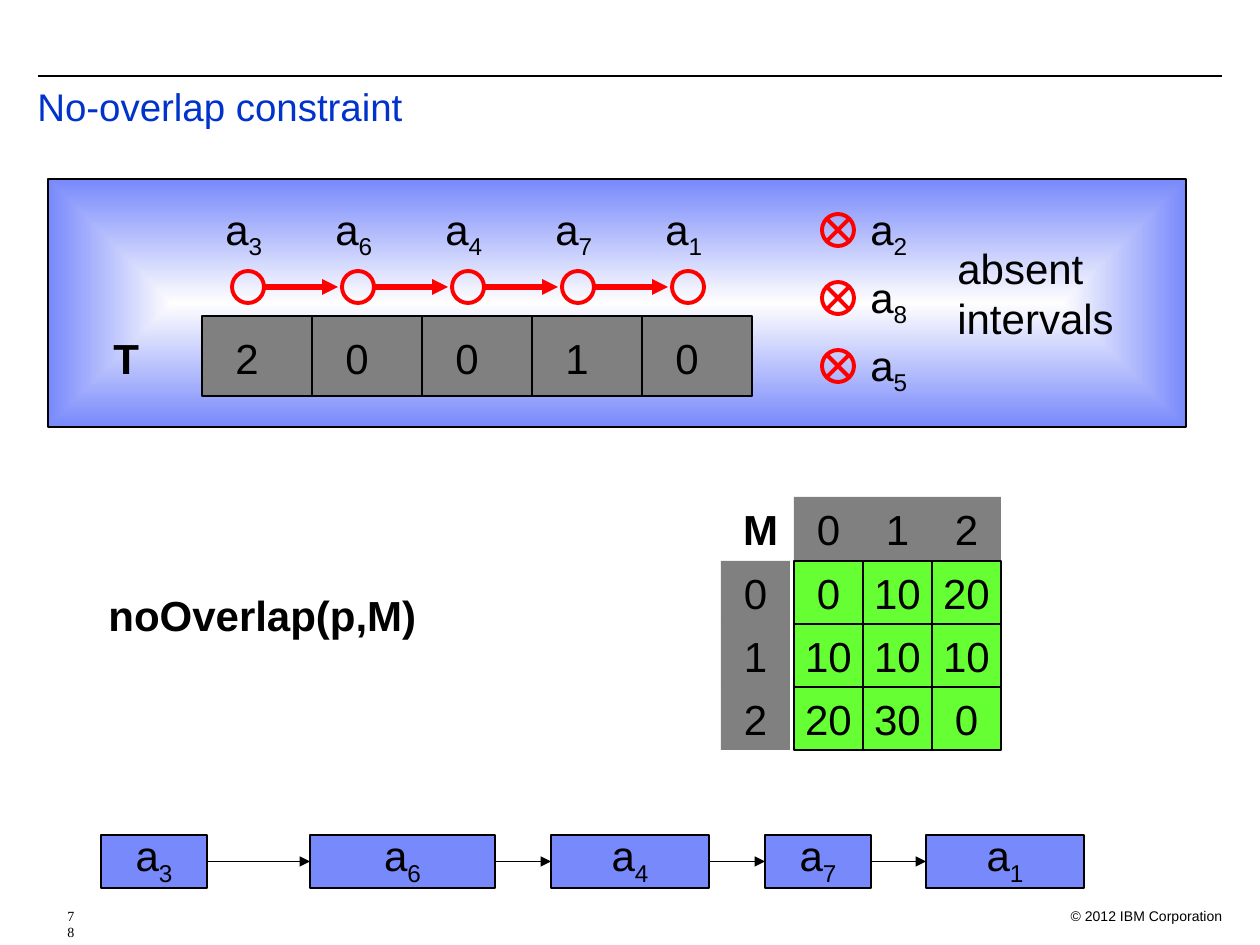
from dataclasses import dataclass

from lxml import etree
from pptx import Presentation
from pptx import util as u
from pptx.dml.color import RGBColor
from pptx.enum import shapes, text
from pptx.oxml.ns import qn

SCALE = u.Inches(1) / 126
RECT, OVAL = shapes.MSO_SHAPE.RECTANGLE, shapes.MSO_SHAPE.OVAL
CENTER, RIGHT = text.PP_ALIGN.CENTER, text.PP_ALIGN.RIGHT
MIDDLE = text.MSO_ANCHOR.MIDDLE


@dataclass(frozen=True)
class Theme:
    """Colours, fonts and type sizes of the slide."""
    ink: str = "000000"
    title: str = "0033CC"
    interval: str = "7889FB"
    glow: str = "FEFEFE"
    mark: str = "FF0000"
    header: str = "808080"
    cell: str = "66FF33"
    sans: str = "Arial"
    serif: str = "Times New Roman"
    title_size: int = 22
    body_size: int = 24
    foot_size: int = 8


THEME = Theme()


def px(*lengths):
    """Turn pixel lengths into EMU."""
    return [round(length * SCALE) for length in lengths]


def write(shape, words, size=THEME.body_size, font=THEME.sans, color=THEME.ink, bold=False,
          align=None, anchor=None, spacing=None, wrap=False, grow=False, margin=0):
    """Fill a shape with text; each line is a paragraph and _ starts a subscript."""
    frame = shape.text_frame
    frame.word_wrap = wrap
    if grow:
        frame.auto_size = text.MSO_AUTO_SIZE.SHAPE_TO_FIT_TEXT
    if anchor is not None:
        frame.vertical_anchor = anchor
    for index, line in enumerate(words.split("\n")):
        para = frame.add_paragraph() if index else frame.paragraphs[0]
        para.alignment = align
        para.line_spacing = spacing
        if margin:
            para._p.get_or_add_pPr().set("marL", str(px(margin)[0]))
        base, _, subscript = line.partition("_")
        for part, offset in ((base, None), (subscript, "-25000")):
            if not part:
                continue
            span = para.add_run()
            span.text = part
            span.font.size = u.Pt(size)
            span.font.name = font
            span.font.bold = bold
            span.font.color.rgb = RGBColor.from_string(color)
            if offset:
                span._r.get_or_add_rPr().set("baseline", offset)


def add_label(parent, at, words, **style):
    """Add a text box."""
    write(parent.shapes.add_textbox(*px(*at)), words, **style)


def add_box(parent, at, kind=RECT, fill=None, line=None, weight=0.75):
    """Add a preset shape with an optional fill and outline."""
    box = parent.shapes.add_shape(kind, *px(*at))
    box.shadow.inherit = False
    if fill:
        box.fill.solid()
        box.fill.fore_color.rgb = RGBColor.from_string(fill)
    else:
        box.fill.background()
    if line:
        box.line.color.rgb = RGBColor.from_string(line)
        box.line.width = u.Pt(weight)
    else:
        box.line.fill.background()
    return box


def add_line(parent, ends, color=THEME.ink, weight=0.75, arrow=False):
    """Add a straight connector, with an arrowhead at its end on request."""
    line = parent.shapes.add_connector(shapes.MSO_CONNECTOR.STRAIGHT, *px(*ends))
    line.line.color.rgb = RGBColor.from_string(color)
    line.line.width = u.Pt(weight)
    if arrow:
        etree.SubElement(line.line._get_or_add_ln(), qn("a:tailEnd"), type="triangle")
    etree.SubElement(line._element.spPr, qn("a:effectLst"))
    return line


def add_panel(page, at):
    """Add the panel whose gradient spreads from its centre."""
    panel = add_box(page, at, line=THEME.ink)
    panel.fill.gradient()
    for stop, color in zip(panel.fill.gradient_stops, (THEME.glow, THEME.interval)):
        stop.color.rgb = RGBColor.from_string(color)
    gradient = panel._element.spPr.find(qn("a:gradFill"))
    gradient.remove(gradient.find(qn("a:lin")))
    spread = etree.SubElement(gradient, qn("a:path"), path="rect")
    etree.SubElement(spread, qn("a:fillToRect"), dict.fromkeys("ltrb", "50000"))


def add_absent(page, top, name):
    """Add a crossed circle and the name of an absent interval."""
    mark = page.shapes.add_group_shape()
    left, size, inset = 822, 32, 5
    near, far = left + inset, left + size - inset
    high, low = top + inset, top + size - inset
    add_box(mark, (left, top, size, size), OVAL, line=THEME.mark, weight=2.25)
    add_line(mark, (near, high, far, low), THEME.mark, 2.25)
    add_line(mark, (near, low, far, high), THEME.mark, 2.25)
    add_label(page, (858, top - 17, 62, 71), name, grow=True)


def add_sequence(page, names, types):
    """Add the ordered intervals above the row of their types."""
    step = 110
    add_box(page, (202, 316, step * len(types), 80), fill=THEME.header, line=THEME.ink)
    add_label(page, (101, 326, 50, 63), "T", bold=True, grow=True)
    for index, (name, kind) in enumerate(zip(names, types)):
        shift = index * step
        add_box(page, (232 + shift, 271, 32, 32), OVAL, line=THEME.mark, weight=2.25)
        add_label(page, (213 + shift, 197, 62, 71), name, grow=True)
        add_label(page, (223 + shift, 326, 48, 63), kind, grow=True)
        add_line(page, (202 + shift, 317, 202 + shift, 396))
        if index:
            add_line(page, (155 + shift, 287, 228 + shift, 287), THEME.mark, 3, arrow=True)


def add_matrix(page, rows):
    """Add the transition matrix with its row and column headers."""
    left, top, width, height = 794, 561, 69, 63
    style = dict(align=CENTER, anchor=MIDDLE)
    for index, values in enumerate(rows):
        across, down = left + index * width, top + index * height
        headers = ((across, top - height - 1), (left - 73, down))
        for corner in headers:
            write(add_box(page, (*corner, width, height), fill=THEME.header), str(index), **style)
        for column, value in enumerate(values):
            cell = add_box(page, (left + column * width, down, width, height),
                           fill=THEME.cell, line=THEME.ink)
            write(cell, str(value), **style)
    add_label(page, (726, top - height - 1, width, height), "M", bold=True, **style)


def add_chain(page, intervals):
    """Add the scheduled intervals and the arrows that join them."""
    previous = None
    for name, left, width in intervals:
        box = add_box(page, (left, 835, width, 53), fill=THEME.interval, line=THEME.ink, weight=1)
        write(box, name, align=CENTER, anchor=MIDDLE, spacing=0.6)
        if previous:
            arrow = add_line(page, (0, 0, 1, 1), arrow=True)
            arrow.begin_connect(previous, 3)
            arrow.end_connect(box, 1)
        previous = box


def main():
    """Build the slide and save it."""
    deck = Presentation()
    deck.slide_width, deck.slide_height = px(1260, 945)
    page = deck.slides.add_slide(deck.slide_layouts[6])
    add_line(page, (38, 76, 1222, 76))
    add_label(page, (1046, 901, 189, 25), "© 2012 IBM Corporation",
              size=THEME.foot_size, align=RIGHT, wrap=True)
    add_panel(page, (48, 179, 1138, 248))
    add_label(page, (25, 82, 1197, 88), "No-overlap constraint", size=THEME.title_size,
              color=THEME.title, spacing=0.9, wrap=True)
    for index, name in enumerate(("a_2", "a_8", "a_5")):
        add_absent(page, 214 + index * 68, name)
    add_label(page, (945, 236, 190, 113), "absent\nintervals", grow=True)
    add_sequence(page, ("a_3", "a_6", "a_4", "a_7", "a_1"), "20010")
    add_label(page, (96, 583, 333, 63), "noOverlap(p,M)", bold=True, grow=True)
    add_matrix(page, ((0, 10, 20), (10, 10, 10), (20, 30, 0)))
    add_chain(page, (("a_3", 101, 106), ("a_6", 310, 185), ("a_4", 551, 158),
                     ("a_7", 765, 106), ("a_1", 926, 158)))
    add_label(page, (25, 901, 50, 25), "78", size=THEME.foot_size, font=THEME.serif,
              wrap=True, margin=30)
    deck.save("out.pptx")


if __name__ == "__main__":
    main()
